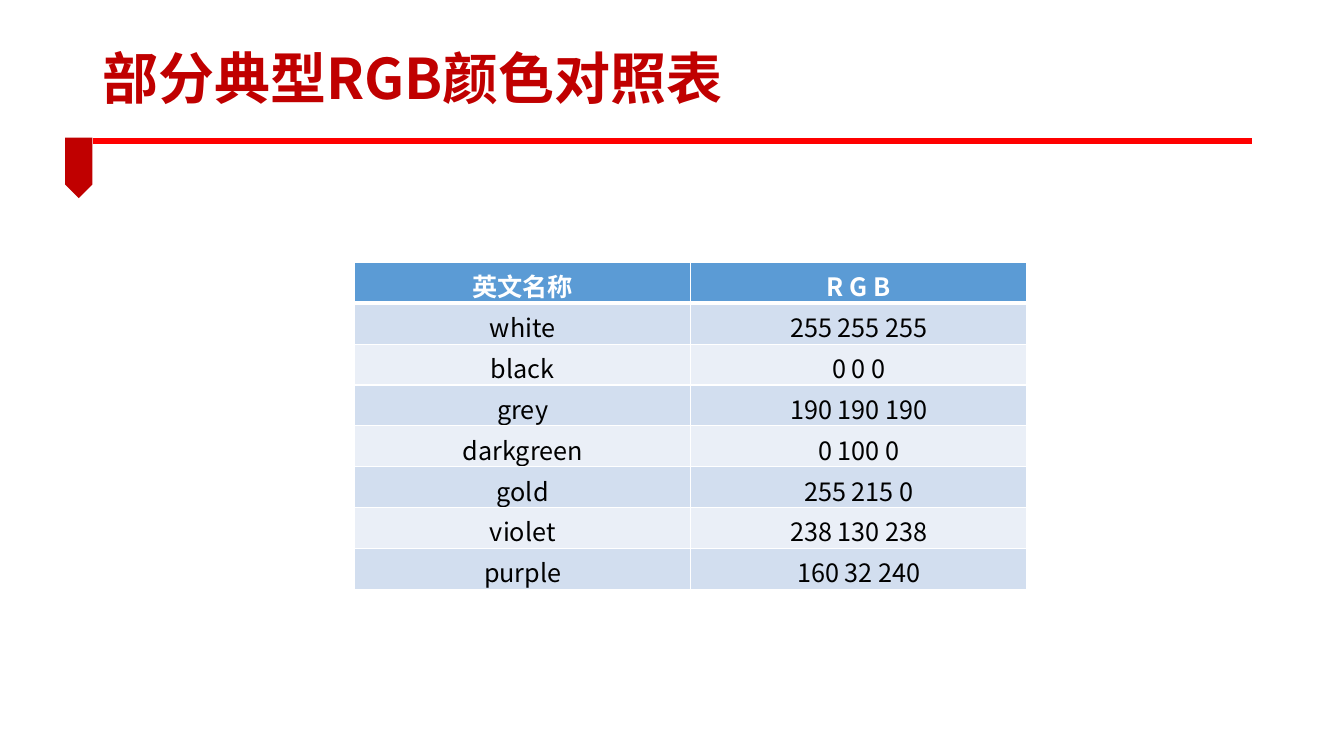
import pptx
import pptx.dml.color
import pptx.enum.shapes
import pptx.enum.text
import pptx.oxml.ns
import pptx.util
from lxml import etree

Pt = pptx.util.Pt
RGBColor = pptx.dml.color.RGBColor
qn = pptx.oxml.ns.qn

RED = RGBColor(0xFF, 0x00, 0x00)
DARK_RED = RGBColor(0xC0, 0x00, 0x00)
WHITE = RGBColor(0xFF, 0xFF, 0xFF)
BLACK = RGBColor(0x00, 0x00, 0x00)
HEADER_BLUE = RGBColor(0x5B, 0x9B, 0xD5)
BAND_DARK = RGBColor(0xD2, 0xDE, 0xEF)
BAND_LIGHT = RGBColor(0xEA, 0xEF, 0xF7)

COLOUR_ROWS = [
    ("英文名称", "R G B"),
    ("white", "255 255 255"),
    ("black", "0 0 0"),
    ("grey", "190 190 190"),
    ("darkgreen", "0 100 0"),
    ("gold", "255 215 0"),
    ("violet", "238 130 238"),
    ("purple", "160 32 240"),
]


class SlideBuilder:
    font_name = "Noto Sans CJK SC"
    title_size = 40
    table_size = 18
    border_width = 1
    header_border_width = 3

    def __init__(self, slide):
        self.slide = slide

    def add_run(self, paragraph, text, size, color, bold):
        run = paragraph.add_run()
        run.text = text
        run.font.name = self.font_name
        run.font.size = Pt(size)
        run.font.bold = bold
        run.font.color.rgb = color
        east_asian = etree.Element(qn("a:ea"), typeface=self.font_name)
        run.font._element.find(qn("a:latin")).addnext(east_asian)

    def add_line(self, left, top, right, bottom, color, width):
        line = self.slide.shapes.add_connector(
            pptx.enum.shapes.MSO_CONNECTOR.STRAIGHT,
            Pt(left), Pt(top), Pt(right), Pt(bottom))
        line.line.color.rgb = color
        line.line.width = Pt(width)
        etree.SubElement(line._element.spPr, qn("a:effectLst"))

    def add_marker(self, left, top, width, height, color):
        marker = self.slide.shapes.add_shape(
            pptx.enum.shapes.MSO_SHAPE.PENTAGON,
            Pt(left), Pt(top), Pt(width), Pt(height))
        marker.rotation = 90
        marker.shadow.inherit = False
        marker.fill.solid()
        marker.fill.fore_color.rgb = color
        marker.line.fill.background()

    def add_title(self, text, left, top, width, height, color):
        box = self.slide.shapes.add_textbox(
            Pt(left), Pt(top), Pt(width), Pt(height))
        frame = box.text_frame
        frame.word_wrap = True
        frame.vertical_anchor = pptx.enum.text.MSO_ANCHOR.MIDDLE
        paragraph = frame.paragraphs[0]
        paragraph.line_spacing = 0.9
        self.add_run(paragraph, text, self.title_size, color, True)

    def add_border(self, cell, side, width):
        properties = cell._tc.get_or_add_tcPr()
        border = etree.SubElement(
            properties, qn(f"a:ln{side}"), w=str(Pt(width)))
        fill = etree.SubElement(border, qn("a:solidFill"))
        etree.SubElement(fill, qn("a:srgbClr"), val=str(WHITE))

    def style_cell(self, cell, text, row_index):
        is_header = row_index == 0
        widths = {side: self.border_width for side in "LRTB"}
        if is_header:
            widths["B"] = self.header_border_width
        elif row_index == 1:
            widths["T"] = self.header_border_width
        for side, width in widths.items():
            self.add_border(cell, side, width)
        band = BAND_DARK if row_index % 2 else BAND_LIGHT
        cell.fill.solid()
        cell.fill.fore_color.rgb = HEADER_BLUE if is_header else band
        paragraph = cell.text_frame.paragraphs[0]
        paragraph.alignment = pptx.enum.text.PP_ALIGN.CENTER
        color = WHITE if is_header else BLACK
        self.add_run(paragraph, text, self.table_size, color, is_header)

    def add_table(self, rows, left, top, width, height):
        table = self.slide.shapes.add_table(
            len(rows), len(rows[0]),
            Pt(left), Pt(top), Pt(width), Pt(height)).table
        for row_index, row in enumerate(rows):
            for column_index, text in enumerate(row):
                cell = table.cell(row_index, column_index)
                self.style_cell(cell, text, row_index)


def main():
    presentation = pptx.Presentation()
    presentation.slide_width = Pt(960)
    presentation.slide_height = Pt(540)
    slide = presentation.slides.add_slide(presentation.slide_layouts[6])
    builder = SlideBuilder(slide)
    builder.add_line(66.2, 100.8, 894.2, 100.8, RED, 4.5)
    builder.add_marker(34.6, 110.2, 43.2, 19.4, DARK_RED)
    builder.add_title("部分典型RGB颜色对照表", 66.2, 25.2, 622.8, 66.2, DARK_RED)
    builder.add_table(COLOUR_ROWS, 253.4, 187.4, 480, 233.6)
    presentation.save("out.pptx")


if __name__ == "__main__":
    main()
